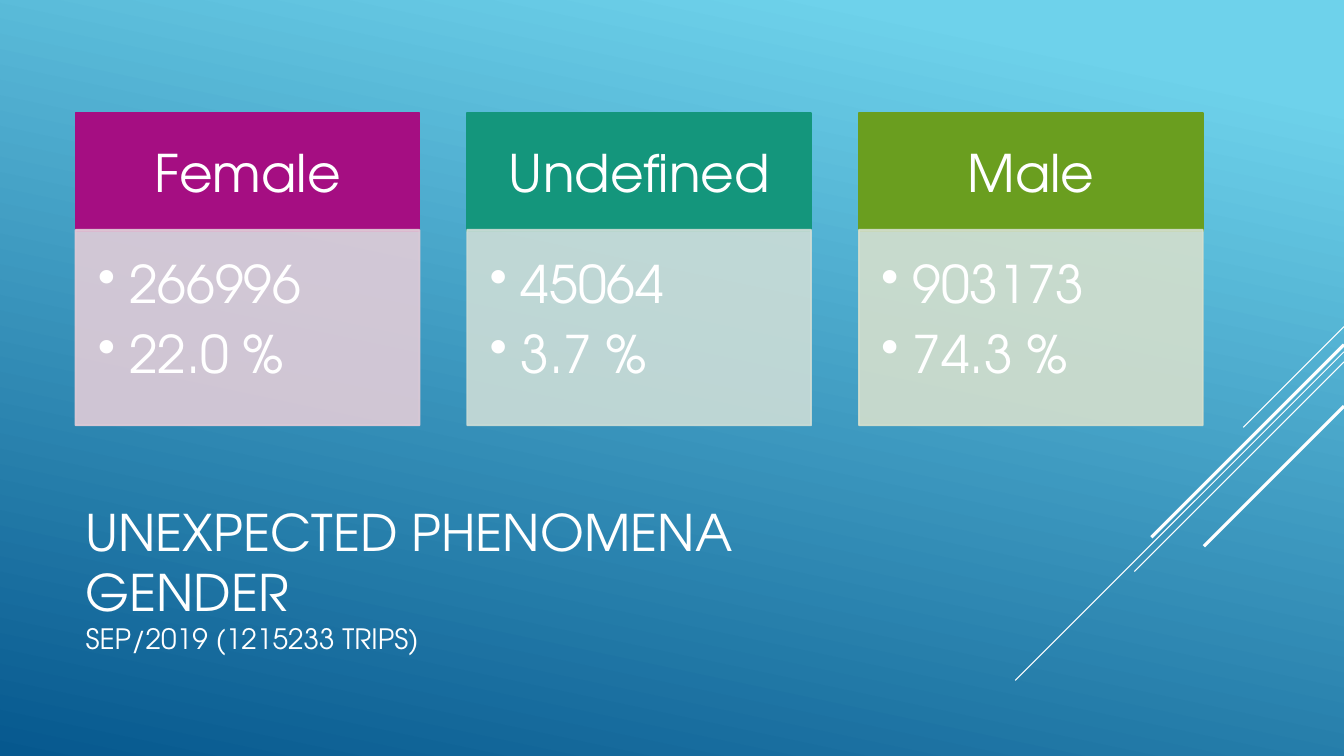
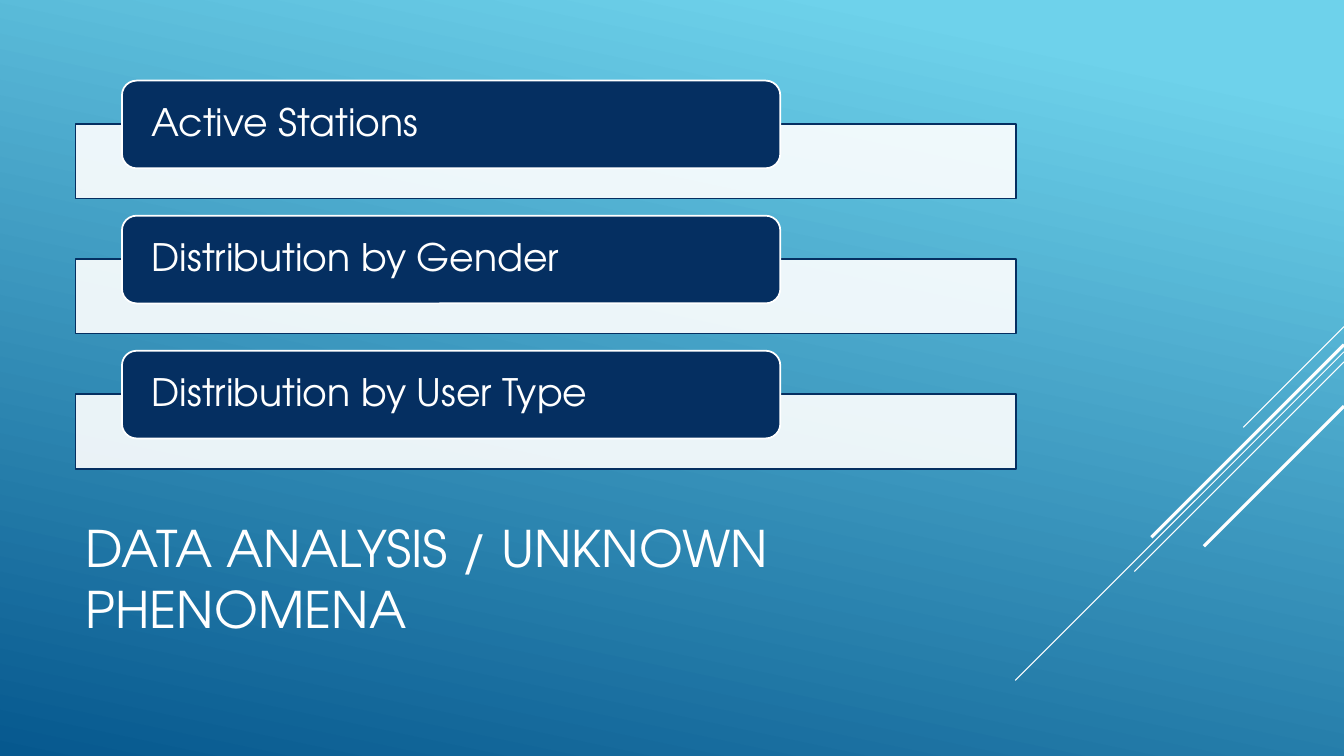
from dataclasses import dataclass
from typing import Any

from lxml.etree import SubElement as Sub
from pptx import Presentation
from pptx.dml.color import RGBColor as Rgb
from pptx.enum.shapes import MSO_CONNECTOR as Link, MSO_SHAPE as Form
from pptx.enum.text import MSO_ANCHOR as Anchor, MSO_AUTO_SIZE as Fit, PP_ALIGN as Align
from pptx.oxml.ns import qn
from pptx.util import Inches, Pt

FONT = "TeX Gyre Adventor"
WHITE, NAVY = "FFFFFF", "052F61"
SKY, DEEP = "6ED2EB", "06588E"
EDGE = 13.33
LEFT, WIDE = 0.75, 9.33


@dataclass(frozen=True)
class Ray:
    top: float
    run: float
    weight: float


@dataclass(frozen=True)
class Card:
    name: str
    facts: tuple[str, ...]
    dark: str
    pale: str


@dataclass(frozen=True)
class Box:
    left: float
    top: float
    width: float
    height: float


RAYS = (
    Ray(3.24, 1, 0.75),
    Ray(3.49, 3.26, 0.75),
    Ray(3.59, 2.08, 0.75),
    Ray(3.42, 1.91, 2.25),
    Ray(4.03, 1.39, 2.25),
)
CARDS = (
    Card("Female", ("266996", "22.0 %"), "A50E82", "E1CCD8"),
    Card("Undefined", ("45064", "3.7 %"), "14967C", "CCDDD7"),
    Card("Male", ("903173", "74.3 %"), "6A9E1F", "D4DFCD"),
)
TOPICS = ("Active Stations", "Distribution by Gender", "Distribution by User Type")


def apply(item: Any, values: dict[str, Any]) -> None:
    for name, value in values.items():
        setattr(item, name, value)


def paint(fill: Any, tone: str, alpha: int = 100) -> None:
    fill.solid()
    fill.fore_color.rgb = Rgb.from_string(tone)
    if alpha < 100:
        for node in fill._xPr.iter(qn("a:srgbClr")):
            Sub(node, qn("a:alpha"), val=str(alpha * 1000))


def block(slide: Any, form: Any, box: Box, tone: str, rim: str,
          alpha: int = 100, rim_alpha: int = 100) -> Any:
    shape = slide.shapes.add_shape(
        form, Inches(box.left), Inches(box.top), Inches(box.width), Inches(box.height))
    shape.shadow.inherit = False
    paint(shape.fill, tone, alpha)
    shape.line.width = Pt(1.25)
    paint(shape.line.fill, rim, rim_alpha)
    return shape


def write(shape: Any, lines: tuple[str, ...], size: int, anchor: Any,
          pads: tuple[float, float, float, float], style: dict[str, Any],
          listed: bool = False) -> None:
    frame = shape.text_frame
    names = ("margin_left", "margin_top", "margin_right", "margin_bottom")
    apply(frame, dict(zip(names, map(Inches, pads))))
    apply(frame, {"word_wrap": True, "vertical_anchor": anchor})
    for rank, line in enumerate(lines):
        para = frame.add_paragraph() if rank else frame.paragraphs[0]
        apply(para, style)
        run = para.add_run()
        run.text = line
        apply(run.font, {"size": Pt(size), "name": FONT})
        paint(run.font.fill, WHITE)
        if listed:
            props = para._p.get_or_add_pPr()
            props.set("marL", str(Inches(0.31)))
            props.set("indent", str(Inches(-0.31)))
            Sub(props, qn("a:buChar"), char="•")


def set_theme(deck: Any, plan: Any) -> None:
    fill = plan.background.fill
    fill.gradient()
    fill.gradient_angle = 258
    for stop, (spot, tone) in zip(fill.gradient_stops, ((0.1, SKY), (1, DEEP))):
        stop.position = spot
        stop.color.rgb = Rgb.from_string(tone)

    level = deck.slide_master.element.find(f".//{qn('p:titleStyle')}/{qn('a:lvl1pPr')}")
    level.set("algn", "l")
    font = level.find(qn("a:defRPr"))
    font.set("sz", "3600")
    font.find(qn("a:latin")).set("typeface", FONT)
    ink = font.find(qn("a:solidFill"))
    ink.clear()
    Sub(ink, qn("a:srgbClr"), val=WHITE)

    title = plan.placeholders[0]
    apply(title, {"left": Inches(LEFT), "top": Inches(4.91),
                  "width": Inches(WIDE), "height": Inches(1.65)})
    apply(title.text_frame, {"vertical_anchor": Anchor.MIDDLE, "auto_size": Fit.NONE})


def add_rays(slide: Any, plan: Any) -> None:
    for ray in RAYS:
        line = slide.shapes.add_connector(
            Link.STRAIGHT, Inches(EDGE), Inches(ray.top),
            Inches(EDGE - ray.run), Inches(ray.top + ray.run))
        line.line.width = Pt(ray.weight)
        paint(line.line.fill, WHITE)
        Sub(line.element.spPr, qn("a:effectLst"))
        plan.shapes.element.append(line.element)


def add_title(slide: Any, lines: tuple[str, ...], note: str = "") -> None:
    para = slide.shapes.title.text_frame.paragraphs[0]
    for rank, line in enumerate(lines):
        if rank:
            para.add_line_break()
        para.add_run().text = line
    if note:
        para.add_line_break()
        run = para.add_run()
        run.text = note
        run.font.size = Pt(20)


def add_card(slide: Any, card: Card, left: float) -> None:
    head = block(slide, Form.RECTANGLE, Box(left, 1.12, 3.41, 1.17), card.dark, card.dark)
    write(head, (card.name,), 37, Anchor.MIDDLE, (0.29, 0.16, 0.29, 0.16),
          {"alignment": Align.CENTER})
    body = block(slide, Form.RECTANGLE, Box(left, 2.28, 3.41, 1.94),
                 card.pale, card.pale, 90, 90)
    write(body, card.facts, 37, Anchor.TOP, (0.22, 0.22, 0.29, 0.32),
          {"alignment": Align.LEFT, "space_after": Pt(5.5)}, listed=True)


def add_topic(slide: Any, topic: str, top: float) -> None:
    block(slide, Form.RECTANGLE, Box(LEFT, top + 0.43, WIDE, 0.74), WHITE, NAVY, 90)
    tab = block(slide, Form.ROUNDED_RECTANGLE, Box(1.21, top, 6.53, 0.87), NAVY, WHITE)
    write(tab, (topic,), 27, Anchor.MIDDLE, (0.25, 0, 0.25, 0),
          {"alignment": Align.LEFT, "line_spacing": 0.9})


def main() -> None:
    deck = Presentation()
    apply(deck, {"slide_width": Inches(EDGE), "slide_height": Inches(7.5)})
    plan = deck.slide_layouts[5]
    set_theme(deck, plan)

    gender = deck.slides.add_slide(plan)
    add_rays(gender, plan)
    add_title(gender, ("UNEXPECTED PHENOMENA", "GENDER"), "SEP/2019 (1215233 TRIPS)")
    for rank, card in enumerate(CARDS):
        add_card(gender, card, LEFT + rank * 7.77 / 2)

    agenda = deck.slides.add_slide(plan)
    add_title(agenda, ("DATA ANALYSIS / UNKNOWN PHENOMENA",))
    for rank, topic in enumerate(TOPICS):
        add_topic(agenda, topic, 0.8 + rank * 1.34)

    deck.save("out.pptx")


if __name__ == "__main__":
    main()
